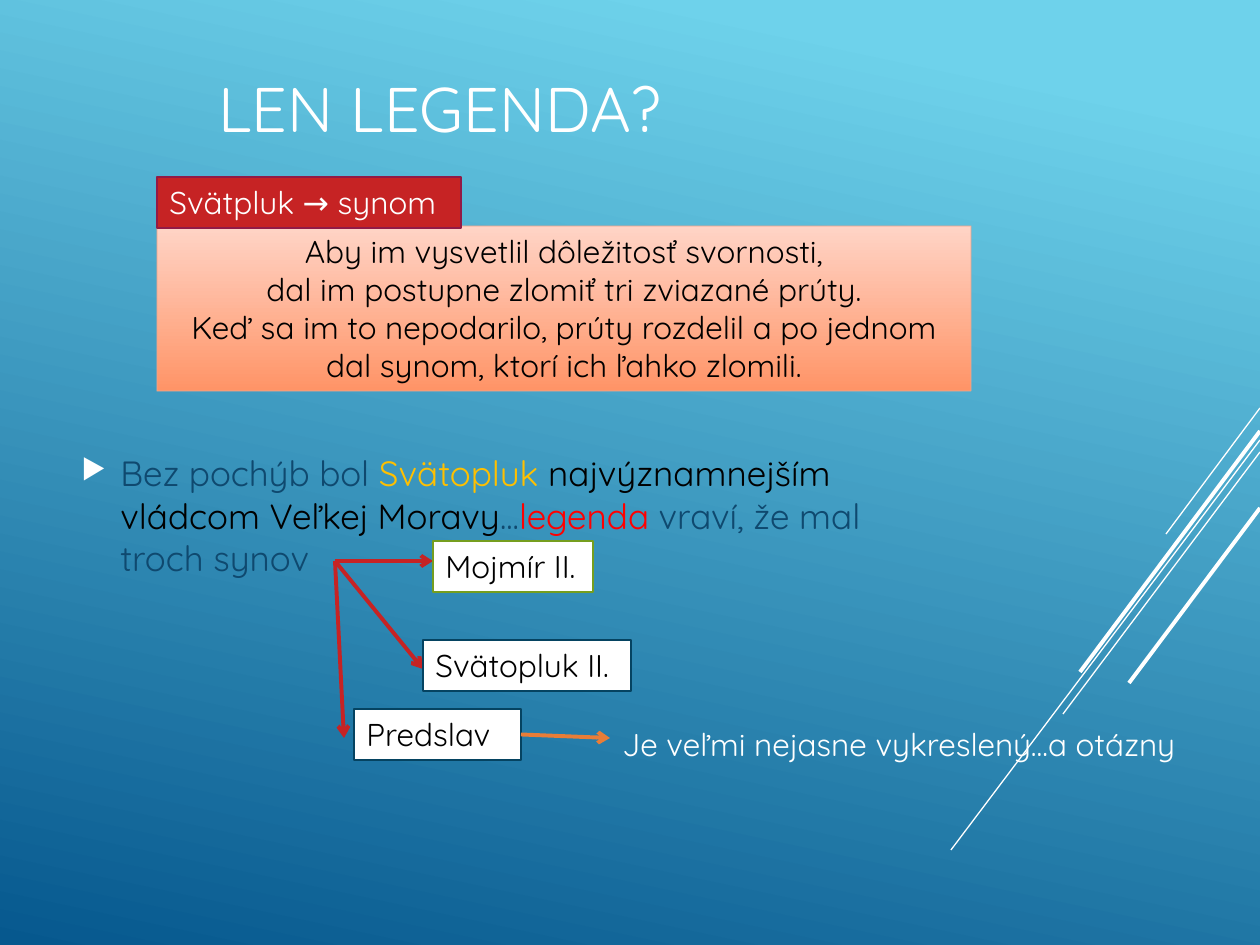
import pptx
import pptx.dml.color
import pptx.enum.shapes
import pptx.enum.text
import pptx.oxml.ns
import pptx.oxml.xmlchemy
import pptx.util

FONT = "Quicksand"
WHITE, BLACK, NAVY, RED, TEAL = "FFFFFF", "000000", "0F496F", "C62324", "054361"
ALIGN = pptx.enum.text.PP_ALIGN
ANCHOR = pptx.enum.text.MSO_ANCHOR


def px(length):
    return pptx.util.Emu(round(length * 914400 / 126))


def colour(code):
    return pptx.dml.color.RGBColor.from_string(code)


def add_xml(parent, tag, **attributes):
    child = pptx.oxml.xmlchemy.OxmlElement(tag)
    for name, value in attributes.items():
        child.set(name, value)
    parent.append(child)
    return child


def set_gradient(fill, stops, clockwise_angle):
    fill.gradient()
    fill.gradient_angle = 360 - clockwise_angle
    for stop, (position, code) in zip(fill.gradient_stops, stops):
        stop.position = position
        stop.color.rgb = colour(code)


def add_line(page, start, end, code, width, arrow=False):
    line = page.shapes.add_connector(
        pptx.enum.shapes.MSO_CONNECTOR.STRAIGHT, *map(px, start + end))
    line.line.color.rgb = colour(code)
    line.line.width = pptx.util.Pt(width)
    if arrow:
        add_xml(line.line._get_or_add_ln(), "a:tailEnd", type="arrow")
    add_xml(line._element.spPr, "a:effectLst")
    return line


def write(shape, lines, size, code, align=ALIGN.LEFT, anchor=ANCHOR.TOP):
    frame = shape.text_frame
    frame.word_wrap = True
    frame.vertical_anchor = anchor
    frame.text = "\n".join(lines)
    for para in frame.paragraphs:
        para.alignment = align
        para.font.name = FONT
        para.font.size = pptx.util.Pt(size)
        para.font.color.rgb = colour(code)


def add_text(page, place, text, size, code, **layout):
    box = page.shapes.add_textbox(*map(px, place))
    write(box, [text], size, code, **layout)


def add_box(page, place, lines, border, fill=WHITE, code=BLACK, width=1.25,
            align=ALIGN.LEFT):
    box = page.shapes.add_shape(
        pptx.enum.shapes.MSO_SHAPE.RECTANGLE, *map(px, place))
    box.shadow.inherit = False
    box.fill.solid()
    box.fill.fore_color.rgb = colour(fill)
    box.line.color.rgb = colour(border)
    box.line.width = pptx.util.Pt(width)
    write(box, lines, 18, code, align)
    return box


def add_bullet_text(page, place, spans):
    """Add one bulleted paragraph made of (text, colour) spans."""
    box = page.shapes.add_textbox(*map(px, place))
    box.text_frame.word_wrap = True
    box.text_frame.vertical_anchor = ANCHOR.MIDDLE
    para = box.text_frame.paragraphs[0]
    para.space_after = pptx.util.Pt(6)
    properties = para._p.get_or_add_pPr()
    properties.set("marL", str(px(39)))
    properties.set("indent", str(-px(39)))
    add_xml(add_xml(properties, "a:buClr"), "a:srgbClr", val=WHITE)
    add_xml(properties, "a:buSzPct", val="80000")
    add_xml(properties, "a:buChar", char="▶")
    para.font.name = FONT
    para.font.size = pptx.util.Pt(20)
    for text, code in spans:
        span = para.add_run()
        span.text = text
        span.font.color.rgb = colour(code)


def add_story(page):
    story = add_box(page, (157, 226, 814, 165), [
        "Aby im vysvetlil dôležitosť svornosti,",
        "dal im postupne zlomiť tri zviazané prúty.",
        "Keď sa im to nepodarilo, prúty rozdelil a po jednom",
        "dal synom, ktorí ich ľahko zlomili.",
    ], "EEA78F", width=0.75, align=ALIGN.CENTER)
    set_gradient(story.fill, [(0, "FFD4C6"), (1, "FF9467")], 90)
    border = story.line._get_or_add_ln().find(
        ".//" + pptx.oxml.ns.qn("a:srgbClr"))
    add_xml(border, "a:alpha", val="60000")
    add_box(page, (157, 177, 304, 51), ["Svätpluk → synom"], "921A46",
            fill=RED, code=WHITE)


def main():
    deck = pptx.Presentation()
    deck.slide_width, deck.slide_height = px(1260), px(945)
    page = deck.slides.add_slide(deck.slide_layouts[6])
    set_gradient(page.background.fill, [(0.1, "6ED2EB"), (1, "06588E")], 102)

    for top, end, width in [(408, (1166, 534), 0.75), (440, (951, 850), 0.75),
                            (452, (1063, 714), 0.75), (431, (1080, 672), 2.25),
                            (508, (1129, 683), 2.25)]:
        add_line(page, (1260, top), end, WHITE, width)

    add_text(page, (-1, 3, 882, 208), "LEN LEGENDA?", 36, WHITE,
             align=ALIGN.CENTER, anchor=ANCHOR.MIDDLE)
    add_bullet_text(page, (69, 266, 882, 498), [
        ("Bez pochýb bol ", NAVY),
        ("Svätopluk ", "FFC000"),
        ("najvýznamnejším vládcom Veľkej Moravy", BLACK),
        ("...", NAVY),
        ("legenda", "FF0000"),
        (" vraví, že mal troch synov", NAVY),
    ])

    for tip in [(433, 561), (423, 669), (344, 738)]:
        add_line(page, (335, 561), tip, RED, 2.25, arrow=True)
    add_box(page, (433, 541, 160, 51), ["Mojmír II."], "759E1F")
    add_box(page, (423, 640, 208, 51), ["Svätopluk II."], TEAL)
    predslav = add_box(page, (354, 709, 167, 51), ["Predslav"], TEAL)
    remark = add_line(page, (521, 734), (610, 738), "E87D37", 2.25, arrow=True)
    remark.begin_connect(predslav, 3)
    add_text(page, (610, 719, 607, 51),
             "Je veľmi nejasne vykreslený...a otázny", 18, WHITE)
    add_story(page)
    deck.save("out.pptx")


if __name__ == "__main__":
    main()
